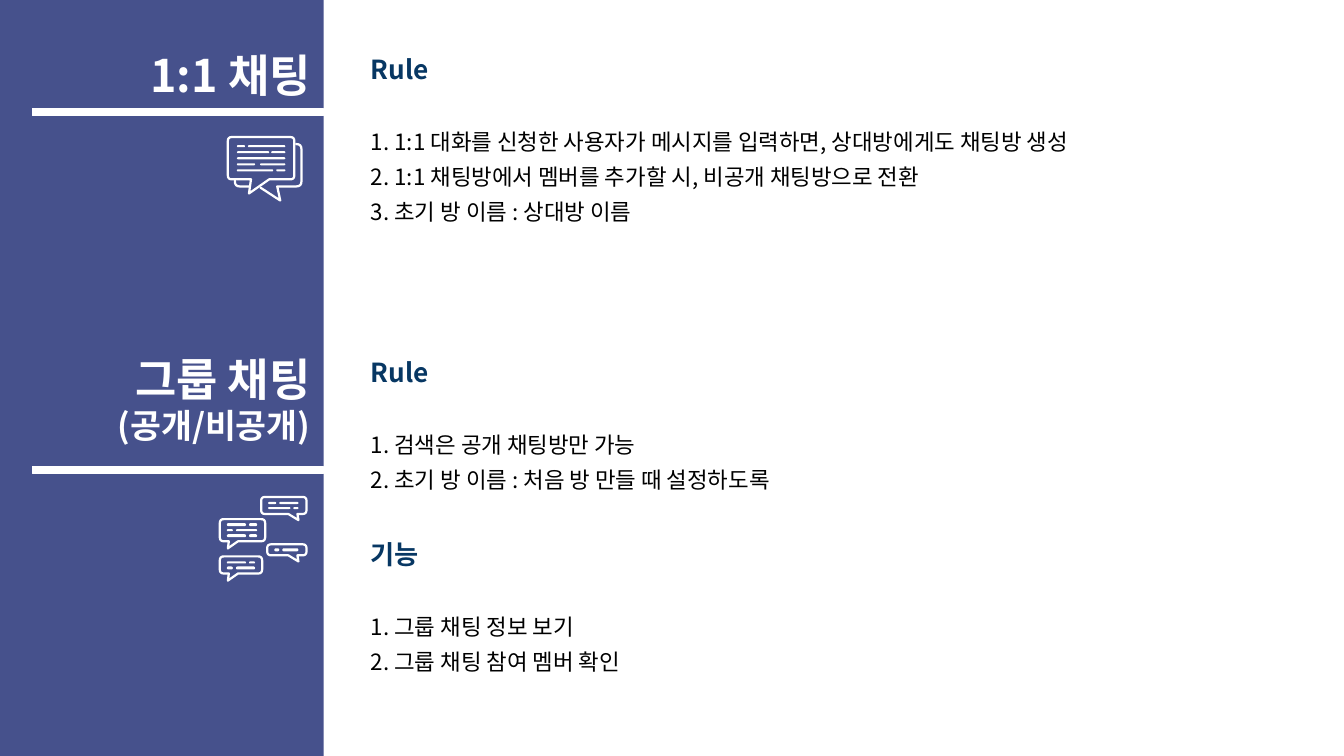
import math

from lxml import etree
from pptx import Presentation
from pptx import util as u
from pptx.dml.color import RGBColor
from pptx.enum import shapes, text
from pptx.oxml import ns

PX = 9144  # 100 px to the inch
FONT = "Noto Sans CJK KR"
WHITE, INDIGO, NAVY, BLACK = "FFFFFF", "46518C", "073763", "000000"
colour = RGBColor.from_string

deck = Presentation()
deck.slide_width, deck.slide_height = 1333 * PX, 750 * PX
slide = deck.slides.add_slide(deck.slide_layouts[5])


def write(frame, lines, align, spacing=None):
    """Fill a text frame with (text, size, colour, bold) lines."""
    for i, (words, size, ink, bold) in enumerate(lines):
        line = frame.paragraphs[0] if i == 0 else frame.add_paragraph()
        line.text = words
        line.alignment = align
        if spacing:
            line.line_spacing = u.Pt(spacing)
            line.space_after = u.Pt(spacing if bold else 0)
        line.font.name, line.font.size, line.font.bold = FONT, u.Pt(size), bold
        line.font.color.rgb = colour(ink)
        defaults = line._p.pPr.find(ns.qn("a:defRPr"))
        etree.SubElement(defaults, ns.qn("a:ea"), typeface=FONT)


def outline(corners, closed=True):
    """Draw a white line through (x, y, radius) corners."""
    points = []
    for i, (x, y, radius) in enumerate(corners):
        if not radius:
            points.append((x, y))
            continue
        ends = []
        for nx, ny, _ in (corners[i - 1], corners[(i + 1) % len(corners)]):
            reach = radius / math.dist((x, y), (nx, ny))
            ends.append((x + (nx - x) * reach, y + (ny - y) * reach))
        (ax, ay), (bx, by) = ends
        for t in (0, 0.25, 0.5, 0.75, 1):
            a, c, b = (1 - t) ** 2, 2 * t * (1 - t), t ** 2
            points.append((a * ax + c * x + b * bx, a * ay + c * y + b * by))
    points = [(x * PX, y * PX) for x, y in points]
    pen = slide.shapes.build_freeform(*points[0])
    pen.add_line_segments(points[1:], close=closed)
    stroke = pen.convert_to_shape()
    stroke.shadow.inherit = False
    stroke.fill.background()
    stroke.line.color.rgb = colour(WHITE)
    stroke.line.width = u.Pt(1.6)


# Side panel, behind the title
panel = slide.shapes.add_shape(shapes.MSO_SHAPE.RECTANGLE, 0, 0, 321 * PX, 750 * PX)
panel.shadow.inherit = False
panel.fill.solid()
panel.fill.fore_color.rgb = colour(INDIGO)
panel.line.fill.background()
slide.shapes.title.element.addprevious(panel.element)

# Panel headings
direct = slide.shapes.title
direct.left, direct.top, direct.width, direct.height = 14 * PX, 44 * PX, 307 * PX, 60 * PX
group = slide.shapes.add_textbox(-27 * PX, 322 * PX, 348 * PX, 147 * PX)
headings = [
    (direct, [("1:1 채팅", 32, WHITE, True)]),
    (group, [("그룹 채팅", 32, WHITE, True), ("(공개/비공개)", 24, WHITE, True)]),
]
for heading, lines in headings:
    frame = heading.text_frame
    frame.word_wrap = True
    frame.auto_size = text.MSO_AUTO_SIZE.NONE
    frame.vertical_anchor = text.MSO_ANCHOR.MIDDLE
    frame.margin_left = frame.margin_right = 13 * PX
    frame.margin_top = frame.margin_bottom = 13 * PX
    write(frame, lines, text.PP_ALIGN.RIGHT)

# Rules and functions
sections = [
    (44, 961, 182, "Rule", [
        "1. 1:1 대화를 신청한 사용자가 메시지를 입력하면, 상대방에게도 채팅방 생성",
        "2. 1:1 채팅방에서 멤버를 추가할 시, 비공개 채팅방으로 전환",
        "3. 초기 방 이름 : 상대방 이름"]),
    (345, 961, 182, "Rule", [
        "1. 검색은 공개 채팅방만 가능",
        "2. 초기 방 이름 : 처음 방 만들 때 설정하도록"]),
    (525, 301, 147, "기능", [
        "1. 그룹 채팅 정보 보기",
        "2. 그룹 채팅 참여 멤버 확인"]),
]
for top, width, height, label, items in sections:
    section = slide.shapes.add_textbox(358 * PX, top * PX, width * PX, height * PX)
    section.text_frame.word_wrap = True
    lines = [(label, 18.7, NAVY, True)] + [(item, 16, BLACK, False) for item in items]
    write(section.text_frame, lines, text.PP_ALIGN.LEFT, 25.1)

# Speech bubbles: left, top, right, bottom, tail
bubbles = [
    (226, 136, 292, 178, [(267, 178), (247, 192), (249, 178)]),
    (259, 493, 304, 510, [(295, 510), (296, 516), (286, 510)]),
    (218, 515, 263, 537, [(236, 537), (226, 544), (227, 537)]),
    (265, 540, 304, 551, [(295, 551), (296, 557), (286, 551)]),
    (218, 552, 260, 569, [(236, 569), (226, 576), (227, 569)]),
]
for left, top, right, bottom, tail in bubbles:
    outline([(left, top, 4), (right, top, 4), (right, bottom, 4)]
            + [(x, y, 0) for x, y in tail] + [(left, bottom, 4)])

# Bubble showing behind the first one
outline([(233, 178, 0), (233, 185, 5), (247, 185, 0)], closed=False)
outline([(258, 186, 0), (278, 199, 0), (275, 185, 0), (299, 185, 5),
         (299, 143, 5), (293, 143, 0)], closed=False)

# Heading underlines and the text dashes in the bubbles: top, height, (left, width)
bars = [
    (108, 7, [(32, 289)]),
    (463, 7, [(32, 289)]),
    (144, 2, [(235, 8), (246, 37)]),
    (150, 2, [(235, 32), (269, 14)]),
    (156, 2, [(235, 48)]),
    (162, 2, [(235, 18), (258, 25)]),
    (168, 2, [(235, 36), (274, 9)]),
    (498, 2, [(266, 8), (277, 19)]),
    (503, 2, [(266, 22), (291, 5)]),
    (519, 3, [(225, 19), (247, 8)]),
    (525, 2, [(225, 6), (234, 21)]),
    (530, 3, [(225, 19), (247, 8)]),
    (544, 3, [(272, 5), (280, 16)]),
    (557, 2, [(225, 19), (247, 6)]),
    (562, 3, [(225, 6), (234, 19)]),
]
for top, height, spans in bars:
    underline = height == 7
    kind = shapes.MSO_SHAPE.RECTANGLE if underline else shapes.MSO_SHAPE.ROUNDED_RECTANGLE
    for left, width in spans:
        bar = slide.shapes.add_shape(kind, left * PX, top * PX, width * PX, height * PX)
        bar.shadow.inherit = False
        bar.fill.solid()
        bar.fill.fore_color.rgb = colour(WHITE)
        if underline:
            bar.line.color.rgb = colour(WHITE)
            bar.line.width = u.Pt(0.75)
        else:
            bar.adjustments[0] = 0.5
            bar.line.fill.background()

deck.save("out.pptx")
